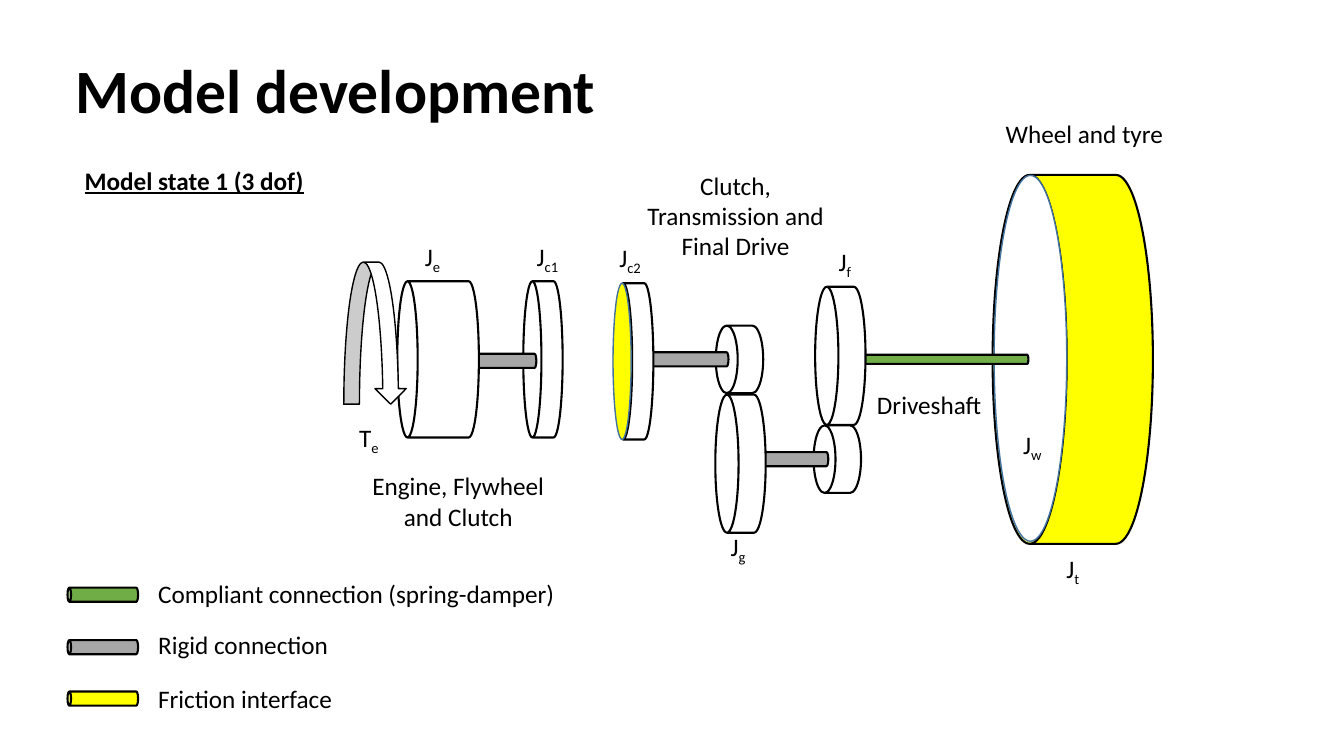
from pptx import Presentation
from pptx.dml.color import RGBColor
from pptx.enum.shapes import MSO_SHAPE
from pptx.enum.text import MSO_ANCHOR, MSO_AUTO_SIZE, PP_ALIGN
from pptx.util import Inches, Pt

BLACK = RGBColor(0x00, 0x00, 0x00)
WHITE = RGBColor(0xFF, 0xFF, 0xFF)
YELLOW = RGBColor(0xFF, 0xFF, 0x00)
GREEN = RGBColor(0x70, 0xAD, 0x47)
GRAY = RGBColor(0xA6, 0xA6, 0xA6)
BLUE = RGBColor(0x43, 0x73, 0x9E)

CELL = Inches(0.1)
AXLE = 35.65
LAYSHAFT = 45.55
DISC_CAP = 0.462
SHAFT_CAP = 0.25
SHAFT_DIAMETER = 1.4


class DrivelineSlide:
    """Draw driveline parts and labels on a slide, in cells of a tenth of an inch."""

    font_name = "Calibri"
    text_size = Pt(18)
    title_size = Pt(44)

    def __init__(self, presentation):
        self.slide = presentation.slides.add_slide(presentation.slide_layouts[5])

    def box(self, center_x, center_y, width, height):
        edges = (center_x - width / 2, center_y - height / 2, width, height)
        return [round(edge * CELL) for edge in edges]

    def style_runs(self, paragraph, size, bold=None, underline=None):
        for run in paragraph.runs:
            font = run.font
            font.name, font.size, font.color.rgb = self.font_name, size, BLACK
            font.bold, font.underline = bold, underline

    def title(self, text, center_x, center_y, width, height):
        shape = self.slide.shapes.title
        shape.left, shape.top, shape.width, shape.height = self.box(center_x, center_y, width, height)
        shape.text_frame.text = text
        shape.text_frame.vertical_anchor = MSO_ANCHOR.MIDDLE
        paragraph = shape.text_frame.paragraphs[0]
        paragraph.alignment = PP_ALIGN.LEFT
        paragraph.line_spacing = 0.9
        self.style_runs(paragraph, self.title_size, bold=True)

    def label(self, text, center_x, top, width=21.5, lines=1, subscript="",
              alignment=PP_ALIGN.CENTER, bold=None, underline=None):
        height = 1 + 3.05 * lines
        shape = self.slide.shapes.add_textbox(*self.box(center_x, top + height / 2, width, height))
        text_frame = shape.text_frame
        text_frame.word_wrap = True
        text_frame.auto_size = MSO_AUTO_SIZE.SHAPE_TO_FIT_TEXT
        text_frame.text = text
        paragraph = text_frame.paragraphs[0]
        paragraph.alignment = alignment
        if subscript:
            run = paragraph.add_run()
            run.text = subscript
            run._r.get_or_add_rPr().set("baseline", "-25000")
        self.style_runs(paragraph, self.text_size, bold, underline)

    def symbol(self, letter, subscript, center_x, top):
        self.label(letter, center_x, top, width=7, subscript=subscript)

    def outlined(self, kind, center_x, center_y, width, height, fill, line=BLACK, weight=1):
        shape = self.slide.shapes.add_shape(kind, *self.box(center_x, center_y, width, height))
        shape.shadow.inherit = False
        shape.fill.solid()
        shape.fill.fore_color.rgb = fill
        shape.line.color.rgb = line
        shape.line.width = Pt(weight)
        return shape

    def cylinder(self, center_x, center_y, length, diameter, fill=WHITE, cap=DISC_CAP):
        shape = self.outlined(MSO_SHAPE.CAN, center_x, center_y, diameter, length, fill, weight=1.5)
        shape.rotation = 270
        shape.adjustments[0] = cap

    def shaft(self, center_x, center_y, length, fill=GRAY, diameter=SHAFT_DIAMETER):
        self.cylinder(center_x, center_y, length, diameter, fill, SHAFT_CAP)

    def face(self, center_x, center_y, width, height, fill):
        self.outlined(MSO_SHAPE.OVAL, center_x, center_y, width, height, fill, BLUE)

    def legend_entry(self, text, center_y, text_top, fill):
        self.shaft(10.2, center_y, 7, fill)
        self.label(text, 36, text_top, width=42.6, alignment=PP_ALIGN.LEFT)


presentation = Presentation()
presentation.slide_width, presentation.slide_height = Inches(13.33), Inches(7.5)
driveline = DrivelineSlide(presentation)
driveline.title("Model development", 64, 9.25, 115, 14.5)

driveline.cylinder(106.4, AXLE, 15.9, 36.6, YELLOW)
driveline.face(102.2, 35.55, 7.2, 36.3, WHITE)
driveline.shaft(93.65, AXLE, 16.7, GREEN, 0.9)
driveline.cylinder(83.05, LAYSHAFT, 4.7, 6.7)
driveline.shaft(78.2, LAYSHAFT, 7.9)
driveline.cylinder(53.85, AXLE, 3.9, 15.5)
driveline.shaft(49.7, 35.8, 7)
driveline.cylinder(43.45, AXLE, 8.1, 15.5, cap=SHAFT_CAP)
driveline.cylinder(73.35, AXLE, 4.7, 6.7)
driveline.cylinder(73.45, 46, 5, 13.7)
driveline.shaft(68.3, AXLE, 7.9)
driveline.cylinder(62.85, 35.85, 3.9, 15.5)
driveline.cylinder(83.35, 35.3, 5, 13.7)
driveline.face(61.7, 35.85, 1.8, 15.5, YELLOW)
driveline.outlined(MSO_SHAPE.CURVED_DOWN_ARROW, 37.2, 33.05, 6.2, 14.1, WHITE)

for text, center_x, top, lines in (
    ("Engine, Flywheel and Clutch", 45.45, 46.2, 2),
    ("Clutch, Transmission and Final Drive", 72.95, 16.4, 3),
    ("Driveshaft", 92.15, 38.1, 1),
    ("Wheel and tyre", 107.55, 11.2, 1),
):
    driveline.label(text, center_x, top, lines=lines)

for letter, subscript, center_x, top in (
    ("J", "e", 42.9, 23.4),
    ("J", "c1", 54.3, 23.4),
    ("J", "c2", 62.5, 23.5),
    ("J", "g", 73.2, 52.2),
    ("J", "f", 83.8, 23.9),
    ("J", "w", 102.4, 42.1),
    ("J", "t", 106.4, 54.4),
    ("T", "e", 36.6, 41.4),
):
    driveline.symbol(letter, subscript, center_x, top)

for text, center_y, text_top, fill in (
    ("Compliant connection (spring-damper)", 59, 56.9, GREEN),
    ("Rigid connection", 64.2, 61.9, GRAY),
    ("Friction interface", 69.3, 67.3, YELLOW),
):
    driveline.legend_entry(text, center_y, text_top, fill)

driveline.label("Model state 1 (3 dof)", 19.25, 15.9, width=25.5, bold=True, underline=True)
presentation.save("out.pptx")
